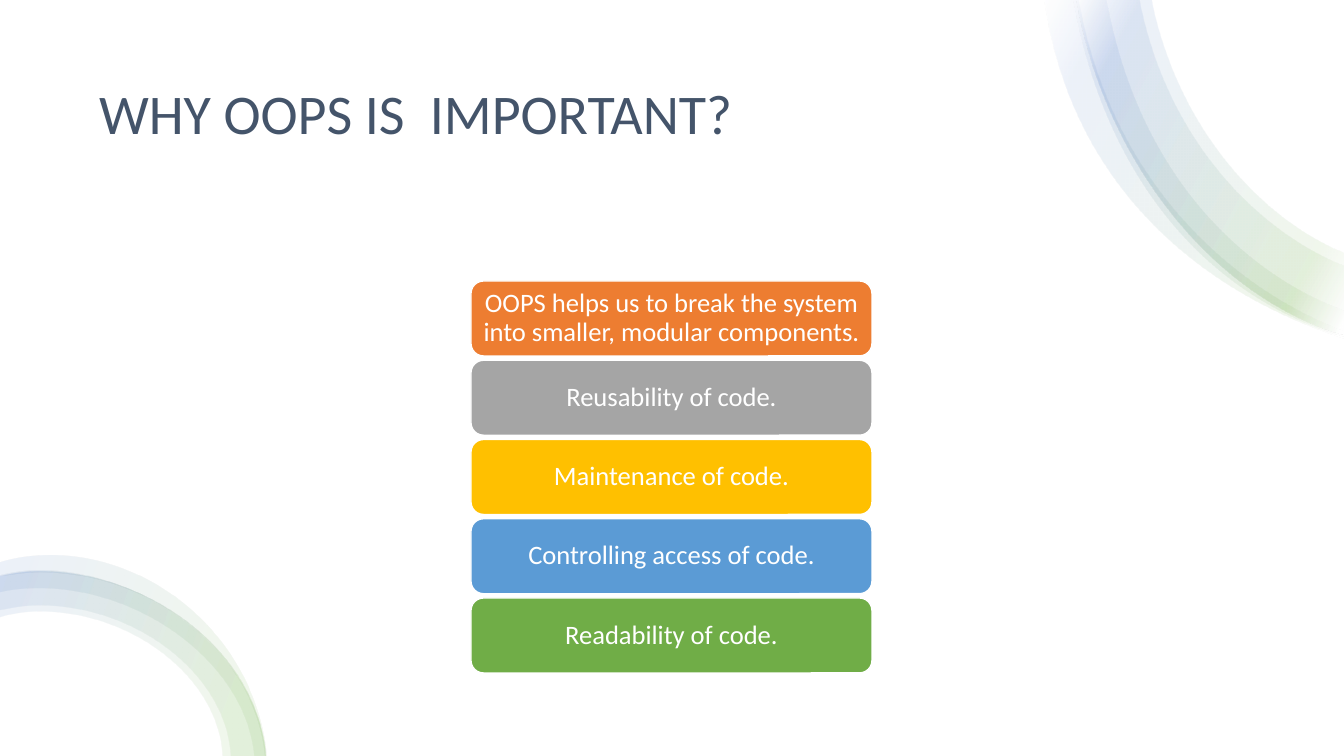
from pptx import Presentation
from pptx.dml.color import RGBColor
from pptx.enum.shapes import MSO_SHAPE
from pptx.enum.text import MSO_ANCHOR, PP_ALIGN
from pptx.oxml import parse_xml
from pptx.oxml.ns import nsdecls, qn
from pptx.util import Pt

RECTANGLE, ROUNDED = MSO_SHAPE.RECTANGLE, MSO_SHAPE.ROUNDED_RECTANGLE
MIDDLE = MSO_ANCHOR.MIDDLE
LEFT, CENTER = PP_ALIGN.LEFT, PP_ALIGN.CENTER

EMU_PER_PX = 914400 / 100.8
SLIDE_W, SLIDE_H = 1344, 756
TITLE_ONLY = 5
FONT = "Calibri"

WHITE = RGBColor(0xFF, 0xFF, 0xFF)
SLATE = RGBColor(0x44, 0x54, 0x6A)
ORANGE = RGBColor(0xED, 0x7D, 0x31)
GRAY = RGBColor(0xA5, 0xA5, 0xA5)
GOLD = RGBColor(0xFF, 0xC0, 0x00)
SKY = RGBColor(0x5B, 0x9B, 0xD5)
GREEN = RGBColor(0x70, 0xAD, 0x47)
BLUE = RGBColor(0x44, 0x72, 0xC4)

TOP_STOPS = [(2, WHITE), (16, GREEN), (85, BLUE), (100, WHITE)]
BOTTOM_STOPS = [(0, GREEN), (16, GREEN), (100, BLUE)]
TOP_ANGLE, BOTTOM_ANGLE = 208, 200
RIBBON_OPACITY = 10

REASONS = [
    ("OOPS helps us to break the system into smaller, modular components.", ORANGE),
    ("Reusability of code.", GRAY),
    ("Maintenance of code.", GOLD),
    ("Controlling access of code.", SKY),
    ("Readability of code.", GREEN),
]
BOX_LEFT, BOX_TOP, BOX_W, BOX_H = 471, 281, 401, 75
LAST_BOX_TOP = 598

# Outer and inner edge of each ribbon in px: a start, then Bezier triples
TOP_SHARED = [(1077, 0), (1102, 147), (1197, 279), (1319, 327),
              (1327, 330), (1336, 333), (1344, 335)]
TOP_RIBBONS = [
    ([(1045, 0), (1070, 182), (1197, 291), (1344, 338)],
     [(1079, 0), (1111, 178), (1226, 285), (1344, 331)]),
    (TOP_SHARED, [(1152, 0), (1179, 134), (1267, 222), (1344, 253)]),
    ([(1074, 0), (1100, 153), (1188, 290), (1344, 336)],
     [(1107, 0), (1141, 187), (1256, 278), (1344, 310)]),
    (TOP_SHARED, [(1140, 0), (1167, 141), (1259, 232), (1344, 266)]),
]
BOTTOM_SHARED = [(265, 756), (257, 651), (148, 572), (40, 572),
                 (27, 572), (13, 574), (0, 577)]
BOTTOM_RIBBONS = [
    (BOTTOM_SHARED, [(222, 756), (218, 678), (132, 612), (40, 612),
                     (26, 612), (13, 614), (0, 618)]),
    (BOTTOM_SHARED, [(230, 756), (226, 675), (136, 606), (40, 606),
                     (26, 606), (13, 608), (0, 611)]),
    ([(265, 756), (257, 658), (150, 571), (40, 571), (26, 571), (13, 573), (0, 576)],
     [(253, 756), (246, 668), (145, 589), (40, 589), (26, 589), (13, 590), (0, 593)]),
    ([(266, 756), (255, 640), (155, 556), (51, 556), (33, 556), (16, 558), (0, 563)],
     [(264, 756), (254, 650), (148, 573), (40, 573), (26, 573), (13, 575), (0, 577)]),
]


def px(length):
    return round(length * EMU_PER_PX)


def ribbon_gradient(gradient_stops, angle):
    stops = "".join(
        f'<a:gs pos="{position * 1000}"><a:srgbClr val="{color}">'
        f'<a:alpha val="{RIBBON_OPACITY * 1000}"/></a:srgbClr></a:gs>'
        for position, color in gradient_stops)
    return parse_xml(f'<a:gradFill {nsdecls("a")} rotWithShape="1"><a:gsLst>{stops}</a:gsLst>'
                     f'<a:lin ang="{angle * 60000}" scaled="0"/></a:gradFill>')


def bend_lines(lines):
    """Turn each three line segments into one Bezier curve."""
    for first in range(0, len(lines), 3):
        curve = parse_xml(f'<a:cubicBezTo {nsdecls("a")}/>')
        lines[first].addprevious(curve)
        for line in lines[first:first + 3]:
            curve.append(line[0])
            line.getparent().remove(line)


def add_ribbon(slide, outer, inner, gradient):
    outline = [(px(x), px(y)) for x, y in outer + inner[::-1]]
    builder = slide.shapes.build_freeform(*outline[0])
    builder.add_line_segments(outline[1:], close=True)
    ribbon = builder.convert_to_shape()
    ribbon.shadow.inherit = False
    ribbon.line.fill.background()
    ribbon.fill.background()
    properties = ribbon.element.spPr
    properties.replace(properties.find(qn("a:noFill")), gradient)

    # The line that joins the two edges stays straight
    lines = list(properties.iter(qn("a:lnTo")))
    join = len(outer) - 1
    bend_lines(lines[:join])
    bend_lines(lines[join + 1:join + len(inner)])


def add_box(slide, preset, left, top, width, height, color):
    box = slide.shapes.add_shape(preset, px(left), px(top), px(width), px(height))
    box.shadow.inherit = False
    box.fill.solid()
    box.fill.fore_color.rgb = color
    return box


def add_backdrop(slide):
    backdrop = add_box(slide, RECTANGLE, 0, 0, SLIDE_W, SLIDE_H, WHITE)
    backdrop.line.fill.background()
    slide.shapes.title.element.addprevious(backdrop.element)


def format_text(frame, text, size, color, alignment):
    frame.text = text
    frame.word_wrap = True
    frame.vertical_anchor = MIDDLE
    paragraph = frame.paragraphs[0]
    paragraph.alignment = alignment
    paragraph.line_spacing = 0.9
    paragraph.font.name = FONT
    paragraph.font.size = Pt(size)
    paragraph.font.color.rgb = color


def add_title(slide, text):
    title = slide.shapes.title
    title.left, title.top, title.width, title.height = px(89), px(51), px(1166), px(131)
    format_text(title.text_frame, text, 40, SLATE, LEFT)


def add_reason(slide, top, text, color):
    box = add_box(slide, ROUNDED, BOX_LEFT, top, BOX_W, BOX_H, color)
    box.line.color.rgb = WHITE
    box.line.width = Pt(1)
    frame = box.text_frame
    frame.margin_left = frame.margin_right = px(6)
    frame.margin_top = frame.margin_bottom = px(4)
    format_text(frame, text, 19, WHITE, CENTER)


def main():
    deck = Presentation()
    deck.slide_width, deck.slide_height = px(SLIDE_W), px(SLIDE_H)
    slide = deck.slides.add_slide(deck.slide_layouts[TITLE_ONLY])

    # Backdrop and corner decoration
    add_backdrop(slide)
    for ribbons, stops, angle in ((TOP_RIBBONS, TOP_STOPS, TOP_ANGLE),
                                  (BOTTOM_RIBBONS, BOTTOM_STOPS, BOTTOM_ANGLE)):
        for outer, inner in ribbons:
            add_ribbon(slide, outer, inner, ribbon_gradient(stops, angle))

    # Title and stacked reasons
    add_title(slide, "WHY OOPS IS  IMPORTANT?")
    pitch = (LAST_BOX_TOP - BOX_TOP) / (len(REASONS) - 1)
    for row, (text, color) in enumerate(REASONS):
        add_reason(slide, BOX_TOP + row * pitch, text, color)

    deck.save("out.pptx")


if __name__ == "__main__":
    main()
